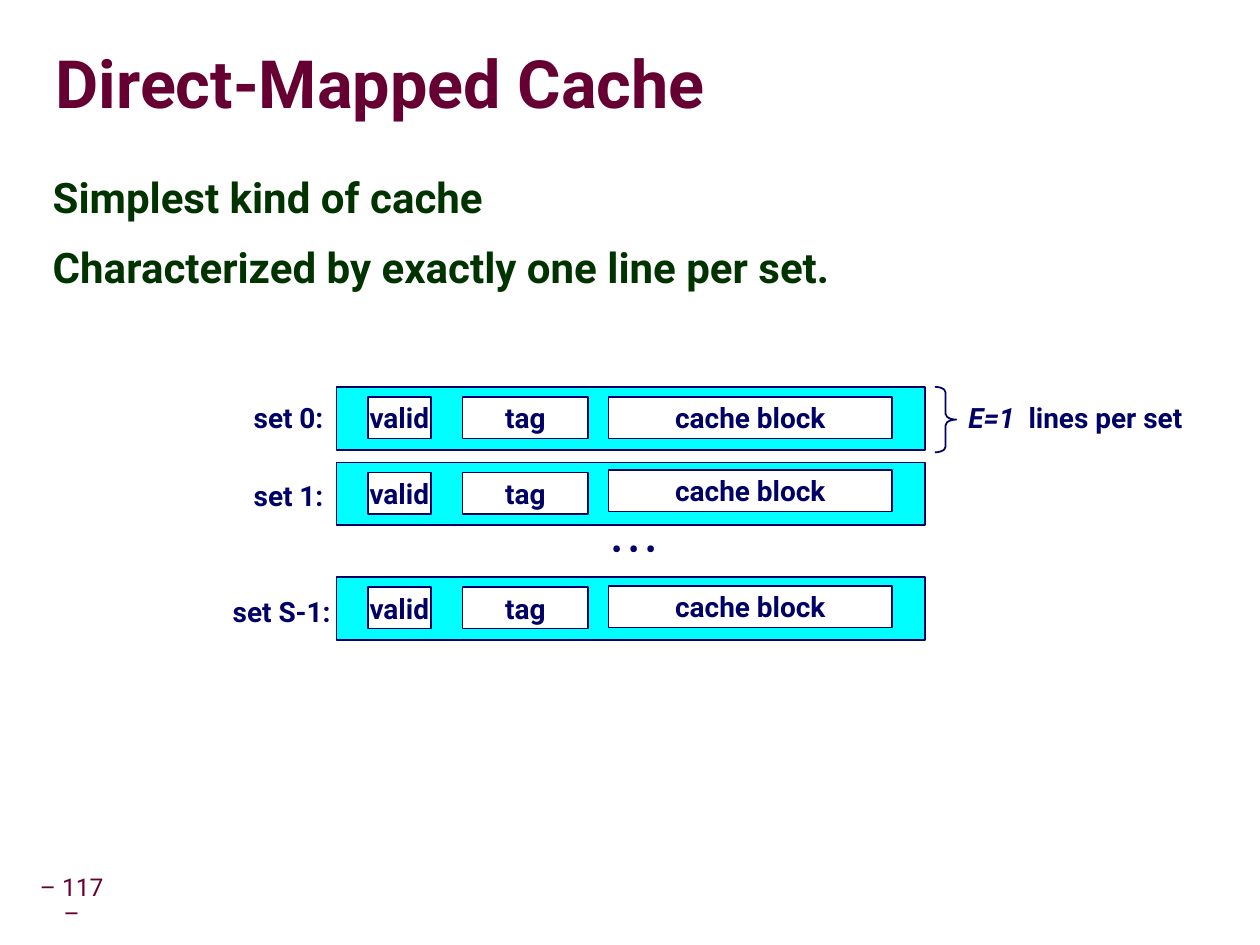
from lxml import etree
from pptx import Presentation
from pptx import util as u
from pptx.dml.color import RGBColor
from pptx.enum import shapes, text
from pptx.oxml.ns import qn

NAVY, CYAN, WHITE = "000066", "00FFFF", "FFFFFF"
WINE, GREEN = "660033", "003300"
FONT = "Roboto"


def hue(code):
    return RGBColor.from_string(code)


def style(para, size, color, bold=True, align=text.PP_ALIGN.CENTER):
    para.alignment = align
    font = para.font
    font.name, font.size, font.bold = FONT, u.Pt(size), bold
    font.color.rgb = hue(color)


def box(slide, x, y, w, h, pad=(0.1, 0.05), wrap=False, anchor=text.MSO_ANCHOR.MIDDLE):
    frame = slide.shapes.add_textbox(*map(u.Inches, (x, y, w, h))).text_frame
    frame.margin_left = frame.margin_right = u.Inches(pad[0])
    frame.margin_top = frame.margin_bottom = u.Inches(pad[1])
    frame.word_wrap = wrap
    frame.vertical_anchor = anchor
    return frame


def label(slide, words, x, y, w):
    para = box(slide, x, y, w, 0.37).paragraphs[0]
    for words_part, slant in words:
        run = para.add_run()
        run.text = words_part
        if slant:
            run.font.italic = True
    style(para, 16, NAVY)


def shape(slide, kind, x, y, w, h, fill=None):
    item = slide.shapes.add_shape(kind, *map(u.Inches, (x, y, w, h)))
    item.shadow.inherit = False
    if fill:
        item.fill.solid()
        item.fill.fore_color.rgb = hue(fill)
    else:
        item.fill.background()
    item.line.color.rgb = hue(NAVY)
    item.line.width = u.Pt(1)
    return item


def cell(slide, words, x, y, w):
    item = shape(slide, shapes.MSO_SHAPE.RECTANGLE, x, y, w, 0.33, WHITE)
    frame = item.text_frame
    frame.word_wrap = False
    frame.vertical_anchor = text.MSO_ANCHOR.MIDDLE
    frame.text = words
    style(frame.paragraphs[0], 16, NAVY)


def shade(run):
    props = run._r.get_or_add_rPr()
    effects = etree.SubElement(props, qn("a:effectLst"))
    shadow = etree.SubElement(effects, qn("a:outerShdw"), blurRad="38100",
                              dist="38100", dir="2700000", algn="tl")
    color = etree.SubElement(shadow, qn("a:srgbClr"), val="C0C0C0")
    return color


def title(slide, x, y, w, h):
    para = box(slide, x, y, w, h, (0, 0), True).paragraphs[0]
    run = para.add_run()
    run.text = "Direct-Mapped Cache"
    para.line_spacing = 0.87
    style(para, 38, WINE, align=text.PP_ALIGN.LEFT)
    shade(run)


def body(slide, x, y, w, h):
    frame = box(slide, x, y, w, h, wrap=True, anchor=text.MSO_ANCHOR.TOP)
    frame.text = "Simplest kind of cache\nCharacterized by exactly one line per set."
    for i, para in enumerate(frame.paragraphs):
        props = para._p.get_or_add_pPr()
        props.set("marL", str(u.Inches(0.42)))
        props.set("indent", str(u.Inches(-0.42)))
        para.line_spacing = 0.95
        if i:
            para.space_before = u.Pt(13)
        style(para, 24, GREEN, align=text.PP_ALIGN.LEFT)


def row(slide, name, x, y, left, width, drop, rise):
    shape(slide, shapes.MSO_SHAPE.RECTANGLE, x, y, 4.67, 0.5, CYAN)
    cell(slide, "valid", x + 0.25, y + 0.08, 0.5)
    cell(slide, "tag", x + 1, y + 0.08, 1)
    cell(slide, "cache block", x + 2.16, y + rise, 2.25)
    label(slide, [(name, False)], x + left, y + drop, width)


def cache(slide, x, y):
    row(slide, "set 0:", x, y, -0.77, 0.78, 0.06, 0.08)
    row(slide, "set 1:", x, y + 0.6, -0.77, 0.78, 0.08, 0.06)
    row(slide, "set S-1:", x, y + 1.51, -0.94, 1.01, 0.09, 0.07)
    label(slide, [("•\u00a0•\u00a0•".replace("\u00a0", " "), False)], x + 2.08, y + 1.1, 0.56)
    brace = shape(slide, shapes.MSO_SHAPE.RIGHT_BRACE, x + 4.75, y, 0.17, 0.52)
    brace.adjustments[0] = 0.26
    label(slide, [("E=1 ", True), (" lines per set", False)], x + 4.85, y + 0.06, 2.03)


def footer(slide, x, y, w, h):
    frame = box(slide, x, y, w, h, (0.05, 0.05), True)
    frame.text = "– 117 –"
    para = frame.paragraphs[0]
    para.line_spacing = 0.9
    style(para, 14, WINE, False)


def main():
    deck = Presentation()
    deck.slide_width, deck.slide_height = u.Inches(10), u.Inches(7.5)
    slide = deck.slides.add_slide(deck.slide_layouts[6])
    footer(slide, 0.24, 7, 0.66, 0.31)
    title(slide, 0.44, 0.27, 9.53, 0.85)
    body(slide, 0.32, 1.34, 9.09, 5.71)
    cache(slide, 2.67, 3.07)
    deck.save("out.pptx")


if __name__ == "__main__":
    main()
